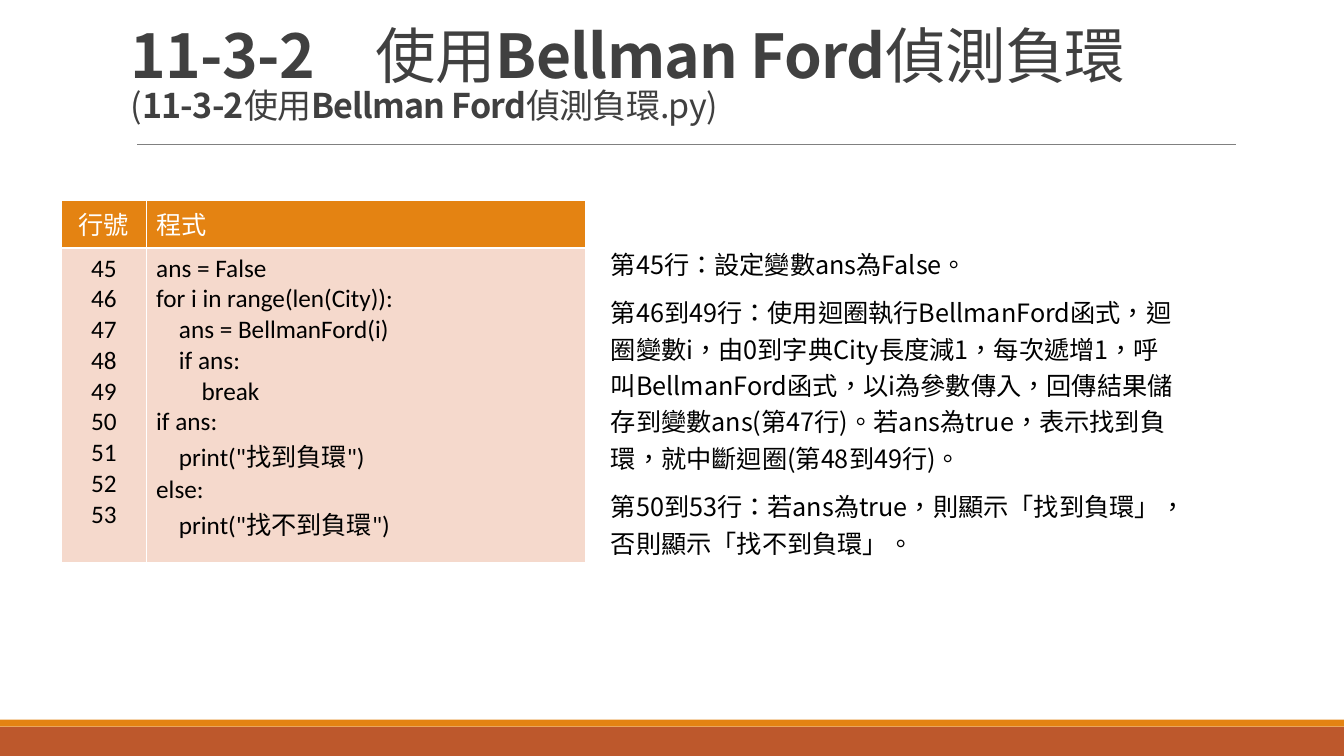
"""Build the slide on finding negative cycles with Bellman Ford."""
import pptx
import pptx.dml.color
import pptx.enum.shapes
import pptx.enum.text
import pptx.oxml
import pptx.oxml.ns
import pptx.util

Inches = pptx.util.Inches
Pt = pptx.util.Pt
Align = pptx.enum.text.PP_ALIGN
NOTO = "Noto Sans CJK SC"
SPACE = pptx.oxml.ns.nsdecls("a")


def paint(color, hue):
    color.rgb = pptx.dml.color.RGBColor.from_string(hue)


def style(run, size, face, hue, bold=False):
    run.font.size = Pt(size)
    run.font.name = face
    run.font.bold = bold
    paint(run.font.color, hue)
    run.font._element.set("lang", "zh-TW")
    east = pptx.oxml.parse_xml(f'<a:ea {SPACE} typeface="{NOTO}"/>')
    run.font._element.find(pptx.oxml.ns.qn("a:latin")).addnext(east)


deck = pptx.Presentation()
deck.slide_width = Inches(13.33)
deck.slide_height = Inches(7.5)
slide = deck.slides.add_slide(deck.slide_layouts[6])
shapes = slide.shapes

for top, height, hue in [(7.21, 0.29, "BD582C"), (7.14, 0.07, "E48312")]:
    band = shapes.add_shape(pptx.enum.shapes.MSO_SHAPE.RECTANGLE,
                            0, Inches(top), deck.slide_width, Inches(height))
    band.shadow.inherit = False
    band.fill.solid()
    paint(band.fill.fore_color, hue)
    band.line.fill.background()

rule = shapes.add_connector(pptx.enum.shapes.MSO_CONNECTOR.STRAIGHT,
                            Inches(1.36), Inches(1.43), Inches(12.26), Inches(1.43))
paint(rule.line.color, "808080")
rule.line.width = Pt(0.5)
rule._element.spPr.append(pptx.oxml.parse_xml(f"<a:effectLst {SPACE}/>"))

title = shapes.add_textbox(Inches(1.2), Inches(0.21), Inches(11.41), Inches(1.08))
frame = title.text_frame
frame.word_wrap = True
frame.vertical_anchor = pptx.enum.text.MSO_ANCHOR.BOTTOM
para = frame.paragraphs[0]
para.line_spacing = 0.85
heads = [
    (43.2, [("11-3-2　", True), ("使用", False), ("Bellman Ford", True), ("偵測負環", False)]),
    (24.3, [("(", False), ("11-3-2", True), ("使用", False), ("Bellman Ford", True),
            ("偵測負環.py)", False)]),
]
for row, (size, parts) in enumerate(heads):
    if row:
        para.add_line_break()
    for text, bold in parts:
        run = para.add_run()
        run.text = text
        style(run, size, NOTO, "404040", bold)
        run.font._element.set("spc", "-50")

code = """ans = False
for i in range(len(City)):
    ans = BellmanFord(i)
    if ans:
        break
if ans:
    print("找到負環")
else:
    print("找不到負環")"""
lines = "\n".join(str(num) for num in range(45, 54))
cells = [["行號", "程式"], [lines, code]]
looks = [("E48312", "FFFFFF"), ("F5D9CC", "000000")]

table = shapes.add_table(2, 2, Inches(0.61), Inches(1.99), Inches(5.2), Inches(3.59)).table
for col, width in enumerate([0.84, 4.36]):
    table.columns[col].width = Inches(width)
for row, height in enumerate([0.47, 3.12]):
    table.rows[row].height = Inches(height)
    back, ink = looks[row]
    for col, text in enumerate(cells[row]):
        cell = table.cell(row, col)
        cell.text_frame.text = text
        for para in cell.text_frame.paragraphs:
            para.alignment = Align.LEFT if col else Align.CENTER
            for run in para.runs:
                style(run, 18, "Calibri", ink)
        props = cell._tc.get_or_add_tcPr()
        for side in ["lnL", "lnR", "lnT", "lnB"]:
            props.append(pptx.oxml.parse_xml(
                f'<a:{side} {SPACE} w="12700"><a:solidFill><a:srgbClr val="FFFFFF"/>'
                f"</a:solidFill></a:{side}>"))
        cell.fill.solid()
        paint(cell.fill.fore_color, back)

notes = [
    "第45行：設定變數ans為False。",
    "第46到49行：使用迴圈執行BellmanFord函式，迴圈變數i，由0到字典City長度減1，"
    "每次遞增1，呼叫BellmanFord函式，以i為參數傳入，回傳結果儲存到變數ans(第47行)。"
    "若ans為true，表示找到負環，就中斷迴圈(第48到49行)。",
    "第50到53行：若ans為true，則顯示「找到負環」，否則顯示「找不到負環」。",
]
body = shapes.add_textbox(Inches(5.96), Inches(2.36), Inches(5.81), Inches(3.26))
frame = body.text_frame
frame.word_wrap = True
frame.text = "\n".join(notes)
for row, para in enumerate(frame.paragraphs):
    para.line_spacing = 1.2
    para.space_before = Pt(6 if row else 0)
    para.space_after = Pt(3)
    style(para.runs[0], 18, NOTO, "000000")

deck.save("out.pptx")
